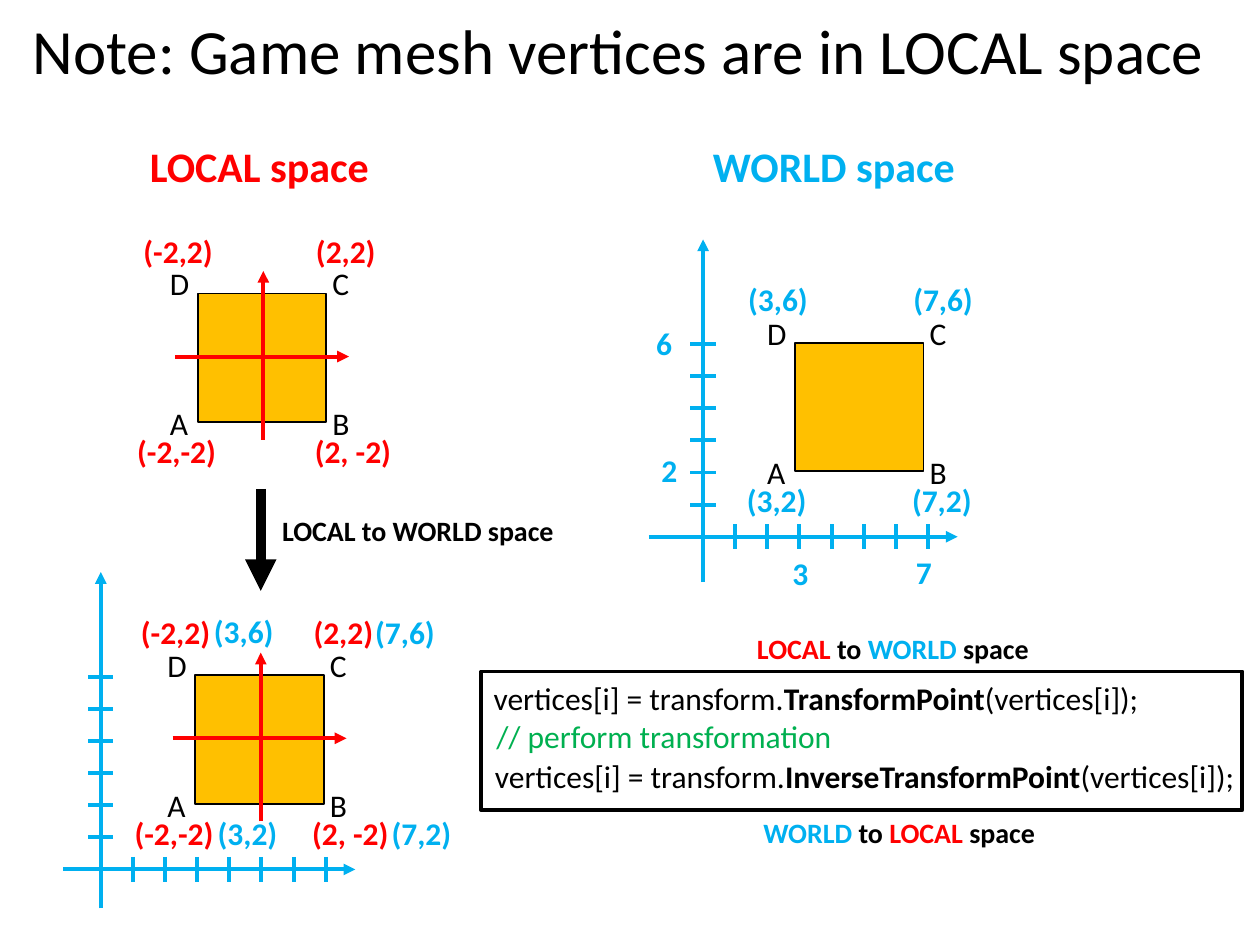
from lxml import etree
from pptx import Presentation
from pptx.dml.color import RGBColor
from pptx.enum.shapes import MSO_CONNECTOR, MSO_SHAPE
from pptx.oxml.ns import qn
from pptx.util import Inches, Pt

STRAIGHT = MSO_CONNECTOR.STRAIGHT
RECT = MSO_SHAPE.RECTANGLE
HEX = {"black": "000000", "red": "FF0000", "blue": "00B0F0",
       "green": "00B050", "gold": "FFC000"}
RGB = {name: RGBColor.from_string(code) for name, code in HEX.items()}

prs = Presentation()
prs.slide_width, prs.slide_height = Inches(10), Inches(7.5)
slide = prs.slides.add_slide(prs.slide_layouts[6])
shapes = slide.shapes


def text(x, y, width, runs, size=18):
    """Add one line of text; each run is (words, colour, bold)."""
    height = size / 72 * 1.2 + 0.1
    box = shapes.add_textbox(Inches(x), Inches(y), Inches(width), Inches(height))
    box.text_frame.word_wrap = True
    para = box.text_frame.paragraphs[0]
    for words, color, bold in runs:
        run = para.add_run()
        run.text = words
        run.font.name = "Calibri"
        run.font.size = Pt(size)
        run.font.bold = bold
        run.font.color.rgb = RGB[color]


def line(x1, y1, x2, y2, color, weight=2.25, arrow=False):
    link = shapes.add_connector(STRAIGHT, Inches(x1), Inches(y1),
                                Inches(x2), Inches(y2))
    link.line.color.rgb = RGB[color]
    link.line.width = Pt(weight)
    if arrow:
        etree.SubElement(link.line._get_or_add_ln(), qn("a:tailEnd"), type="triangle")
    etree.SubElement(link._element.spPr, qn("a:effectLst"))


# Frame around the code
frame = shapes.add_shape(RECT, Inches(3.82), Inches(5.33), Inches(6.04), Inches(1.1))
frame.shadow.inherit = False
frame.fill.background()
frame.line.color.rgb = RGB["black"]
frame.line.width = Pt(2.25)

# Squares with their corner names
SIDE = 1.02
UNIT = SIDE / 4
LOCAL, WORLD, BOTH = (1.57, 2.33), (6.31, 2.72), (1.55, 5.36)
CORNERS = [("A", -0.32, 0.83), ("B", 0.97, 0.83),
           ("C", 0.97, -0.28), ("D", -0.32, -0.28)]
for x, y in (LOCAL, WORLD, BOTH):
    square = shapes.add_shape(RECT, Inches(x), Inches(y), Inches(SIDE), Inches(SIDE))
    square.shadow.inherit = False
    square.fill.solid()
    square.fill.fore_color.rgb = RGB["gold"]
    square.line.color.rgb = RGB["black"]
    square.line.width = Pt(1)
    for name, dx, dy in CORNERS:
        text(x + dx, y + dy, 0.32, [(name, "black", False)])

# Local axes and points
POINTS = [("(2,2)", 0.84, -0.54, 0.7), ("(-2,2)", -0.53, -0.54, 0.8),
          ("(2, -2)", 0.83, 1.05, 0.84), ("(-2,-2)", -0.58, 1.05, 0.9)]
for x, y in (LOCAL, BOTH):
    line(x + 0.52, y + 1.16, x + 0.52, y - 0.18, "red", arrow=True)
    line(x - 0.18, y + 0.5, x + 1.2, y + 0.5, "red", arrow=True)
    for point, dx, dy, width in POINTS:
        text(x + dx, y + dy, width, [(point, "red", True)])

# World axes: origin, then how far they run left of and below it
for x, y, left, below in [(5.58, 4.26, 0.43, 0.36), (0.8, 6.9, 0.3, 0.31)]:
    line(x - left, y, x + 2.02, y, "blue", arrow=True)
    line(x, y + below, x, y - 2.36, "blue", arrow=True)
    for i in range(7):
        across, up = x + (i + 1) * UNIT, y - i * UNIT
        line(across, y - 0.1, across, y + 0.1, "blue")
        line(x - 0.1, up, x + 0.1, up, "blue")

# World points and axis numbers
for label, x, y in [
    ("(7,6)", 7.15, 2.17), ("(3,6)", 5.84, 2.17),
    ("(7,2)", 7.14, 3.77), ("(3,2)", 5.83, 3.77),
    ("(7,6)", 2.88, 4.82), ("(3,6)", 1.6, 4.81),
    ("(7,2)", 3.01, 6.41), ("(3,2)", 1.63, 6.41),
    ("3", 6.19, 4.35), ("7", 7.17, 4.34), ("2", 5.15, 3.53), ("6", 5.11, 2.52),
]:
    text(x, y, 0.7 if len(label) > 1 else 0.32, [(label, "blue", True)])

# Title and headings
text(0.16, 0.04, 9.51,
     [("Note: Game mesh vertices are in LOCAL space", "black", False)], 36)
text(1.09, 1.07, 2.19, [("LOCAL space", "red", True)], 24)
text(5.56, 1.07, 2.19, [("WORLD space", "blue", True)], 24)

# Step from local to world
line(2.07, 3.88, 2.07, 4.69, "black", 6, arrow=True)
text(2.14, 4.03, 2.4, [("LOCAL to WORLD space", "black", True)], 16)

# Code and its captions
for x, y, width, method in [(3.82, 5.34, 5.47, "TransformPoint"),
                            (3.83, 5.96, 6.15, "InverseTransformPoint")]:
    text(x, y, width, [("vertices[i] = transform.", "black", False),
                       (method, "black", True),
                       ("(vertices[i]);", "black", False)])
text(3.84, 5.64, 5.29, [("// perform transformation", "green", False)])
SPACES = [("LOCAL ", "red", True), ("WORLD ", "blue", True)]
for x, y, (start, end) in [(5.91, 4.96, SPACES), (5.96, 6.42, SPACES[::-1])]:
    text(x, y, 2.4, [start, ("to ", "black", True), end, ("space", "black", True)], 16)

prs.save("out.pptx")
